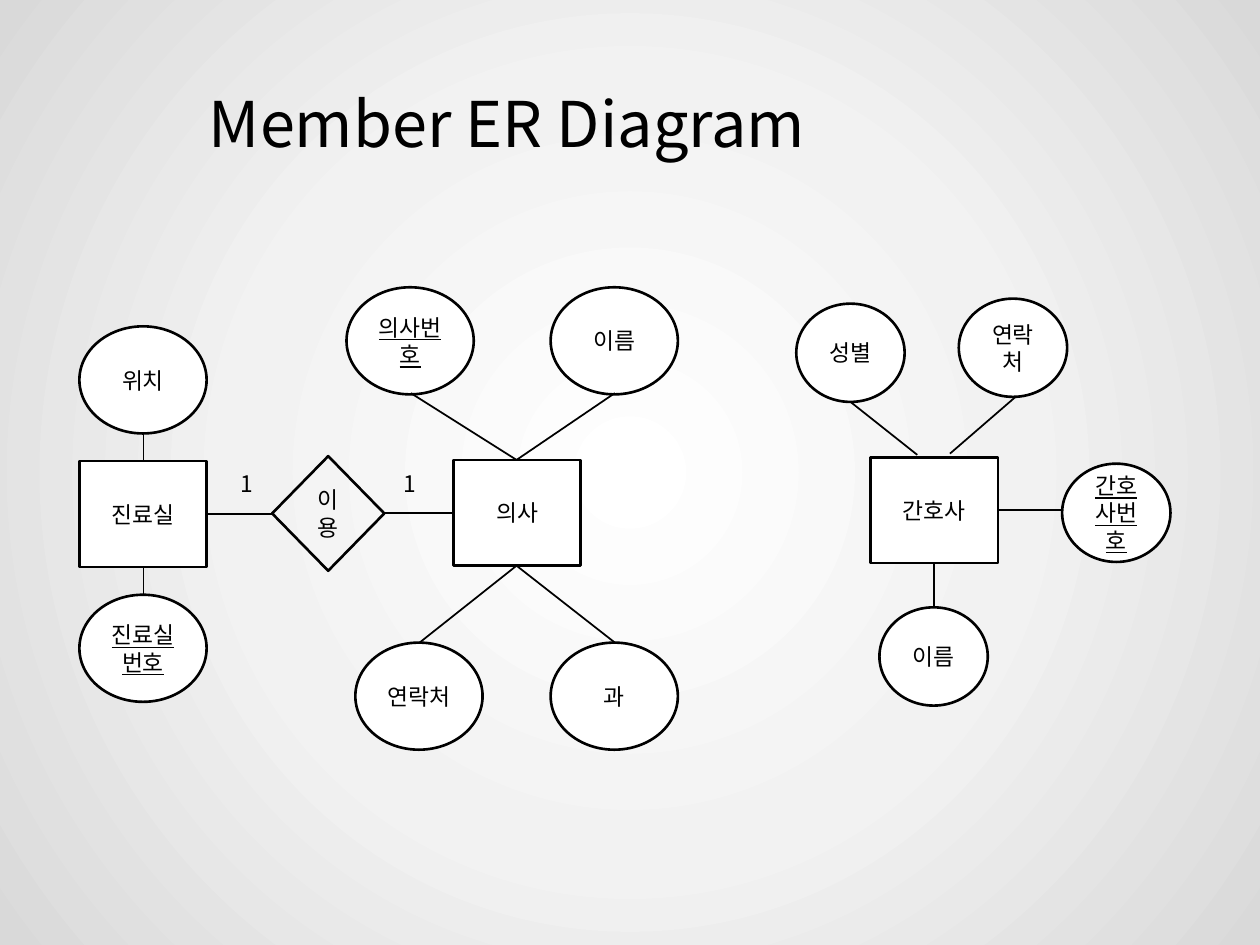
"""Builds the Member ER Diagram slide with its entities, attributes and links."""
from dataclasses import dataclass

from lxml import etree
from pptx import Presentation
from pptx import util as u
from pptx.dml import color
from pptx.enum import shapes, text
from pptx.oxml import ns

FONT = "Noto Sans CJK KR"
COLORS = {"ink": "000000", "paper": "FFFFFF", "mid": "F2F2F2", "edge": "D9D9D9"}
RECT = shapes.MSO_SHAPE.RECTANGLE
OVAL = shapes.MSO_SHAPE.OVAL
DIAMOND = shapes.MSO_SHAPE.DIAMOND
ENTITY = (1.01, 0.84)
ATTRIBUTE = (1.01, 0.85)
SMALL_ATTRIBUTE = (0.86, 0.78)
RELATION = (0.89, 0.91)


@dataclass
class Node:
    label: str
    kind: shapes.MSO_SHAPE
    left: float
    top: float
    size: tuple[float, float]
    key: bool = False


@dataclass
class Label:
    wording: str
    left: float
    top: float
    width: float
    height: float
    points: int = 13
    wrap: bool = True


NODES = [
    Node("의사", RECT, 3.6, 3.65, ENTITY),
    Node("의사번호", OVAL, 2.75, 2.28, ATTRIBUTE, key=True),
    Node("이름", OVAL, 4.37, 2.28, ATTRIBUTE),
    Node("연락처", OVAL, 2.82, 5.1, ATTRIBUTE),
    Node("과", OVAL, 4.37, 5.1, ATTRIBUTE),
    Node("진료실", RECT, 0.63, 3.66, ENTITY),
    Node("진료실번호", OVAL, 0.63, 4.72, ATTRIBUTE, key=True),
    Node("위치", OVAL, 0.63, 2.59, ATTRIBUTE),
    Node("이용", DIAMOND, 2.16, 3.62, RELATION),
    Node("간호사", RECT, 6.91, 3.63, ENTITY),
    Node("이름", OVAL, 6.98, 4.82, SMALL_ATTRIBUTE),
    Node("연락처", OVAL, 7.61, 2.37, SMALL_ATTRIBUTE),
    Node("간호사번호", OVAL, 8.43, 3.68, SMALL_ATTRIBUTE, key=True),
    Node("성별", OVAL, 6.32, 2.41, SMALL_ATTRIBUTE),
]
DOCTOR_TOP, DOCTOR_BOTTOM = (4.1, 3.65), (4.1, 4.49)
LINKS = [
    ((1.14, 3.43), (1.14, 3.66)),
    ((1.14, 4.5), (1.14, 4.72)),
    ((1.65, 4.08), (2.16, 4.08)),
    ((3.04, 4.07), (3.6, 4.07)),
    ((3.26, 3.12), DOCTOR_TOP),
    (DOCTOR_TOP, (4.88, 3.12)),
    (DOCTOR_BOTTOM, (3.33, 5.1)),
    (DOCTOR_BOTTOM, (4.88, 5.1)),
    ((8.06, 3.15), (7.54, 3.6)),
    ((8.43, 4.05), (7.92, 4.05)),
    ((7.41, 4.47), (7.41, 4.82)),
    ((6.75, 3.19), (7.28, 3.61)),
]
LABELS = [
    Label("1", 3.1, 3.68, 0.32, 0.32),
    Label("1", 1.81, 3.68, 0.32, 0.32),
    Label("Member ER Diagram", 1.56, 0.62, 5.15, 0.71, points=36, wrap=False),
]


def rgb(name: str) -> color.RGBColor:
    return color.RGBColor.from_string(COLORS[name])


def write(frame, wording: str, points: int = 13, underline: bool = False) -> None:
    frame.text = wording
    run = frame.paragraphs[0].runs[0]
    run.font.size = u.Pt(points)
    run.font.name = FONT
    run.font.color.rgb = rgb("ink")
    if underline:
        run.font.underline = True
    etree.SubElement(run.font._element, ns.qn("a:ea"), typeface=FONT)


def paint_background(slide) -> None:
    slide.background.fill.gradient()
    gradient = slide.element.find(".//" + ns.qn("a:gradFill"))
    for child in list(gradient):
        gradient.remove(child)
    stops = etree.SubElement(gradient, ns.qn("a:gsLst"))
    for position, name in ((0, "paper"), (50000, "mid"), (100000, "edge")):
        stop = etree.SubElement(stops, ns.qn("a:gs"), pos=str(position))
        etree.SubElement(stop, ns.qn("a:srgbClr"), val=COLORS[name])
    circle = etree.SubElement(gradient, ns.qn("a:path"))
    circle.set("path", "circle")
    center = dict.fromkeys("ltrb", "50000")
    etree.SubElement(circle, ns.qn("a:fillToRect"), center)


def draw_node(slide, node: Node) -> None:
    box = map(u.Inches, (node.left, node.top, *node.size))
    shape = slide.shapes.add_shape(node.kind, *box)
    shape.shadow.inherit = False
    if node.kind == DIAMOND:
        shape.fill.background()
    else:
        shape.fill.solid()
        shape.fill.fore_color.rgb = rgb("paper")
    shape.line.color.rgb = rgb("ink")
    shape.line.width = u.Pt(1.5)
    write(shape.text_frame, node.label, underline=node.key)
    shape.text_frame.vertical_anchor = text.MSO_ANCHOR.MIDDLE
    shape.text_frame.paragraphs[0].alignment = text.PP_ALIGN.CENTER


def draw_link(slide, start: tuple[float, float], end: tuple[float, float]) -> None:
    link = slide.shapes.add_connector(
        shapes.MSO_CONNECTOR.STRAIGHT, *map(u.Inches, (*start, *end)))
    link.line.color.rgb = rgb("ink")
    link.line.width = u.Pt(1)
    etree.SubElement(link._element.spPr, ns.qn("a:effectLst"))


def draw_label(slide, label: Label) -> None:
    box = map(u.Inches, (label.left, label.top, label.width, label.height))
    frame = slide.shapes.add_textbox(*box).text_frame
    frame.word_wrap = label.wrap
    frame.auto_size = text.MSO_AUTO_SIZE.SHAPE_TO_FIT_TEXT
    write(frame, label.wording, label.points)


def main() -> None:
    deck = Presentation()
    deck.slide_width, deck.slide_height = u.Inches(10), u.Inches(7.5)
    slide = deck.slides.add_slide(deck.slide_layouts[6])
    paint_background(slide)
    for node in NODES:
        draw_node(slide, node)
    for start, end in LINKS:
        draw_link(slide, start, end)
    for label in LABELS:
        draw_label(slide, label)
    deck.save("out.pptx")


main()
